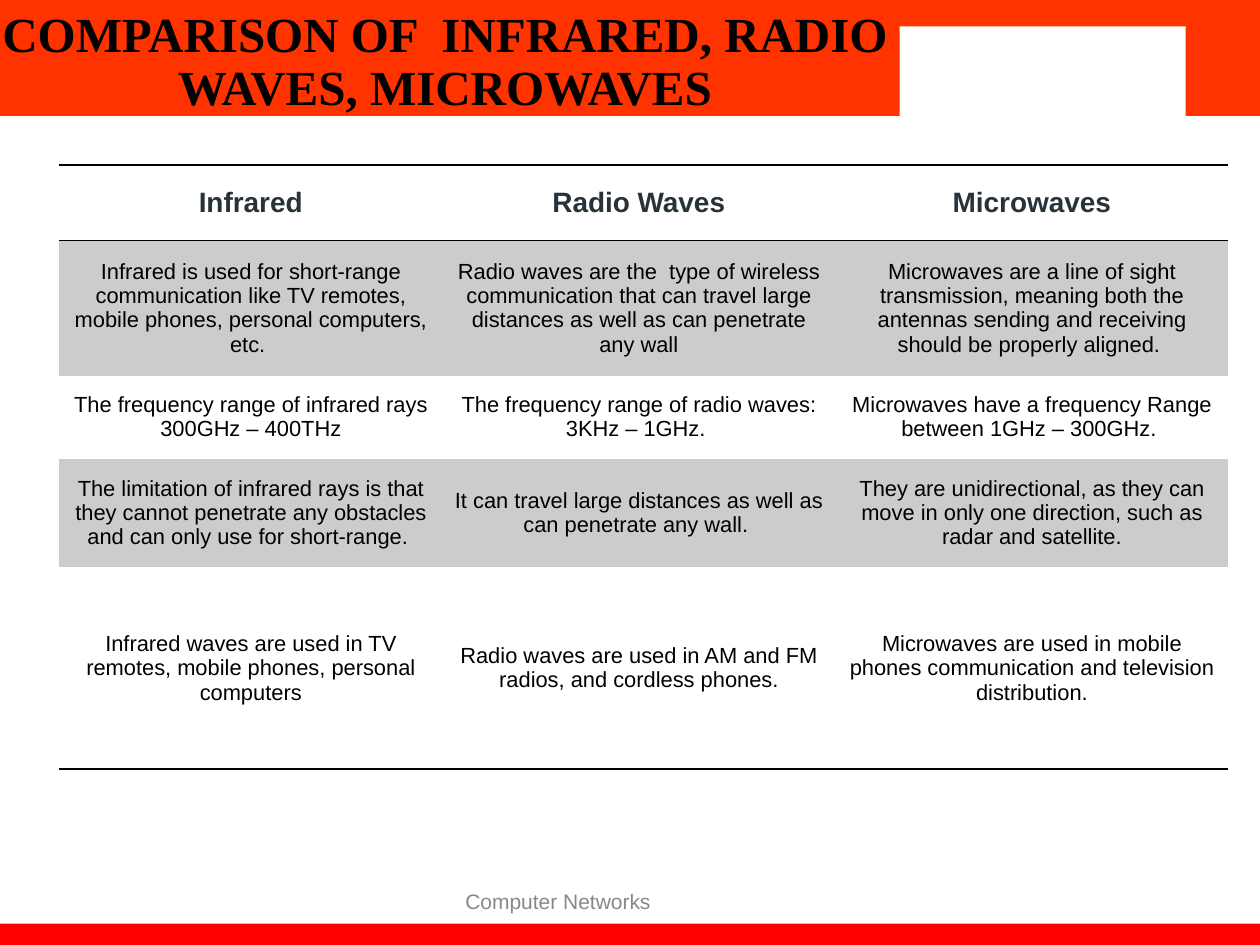
from lxml import etree
from pptx import Presentation
from pptx.dml.color import RGBColor
from pptx.enum.shapes import MSO_SHAPE
from pptx.enum.text import MSO_ANCHOR, MSO_AUTO_SIZE, PP_ALIGN
from pptx.oxml.ns import qn
from pptx.util import Inches, Pt

RECTANGLE = MSO_SHAPE.RECTANGLE
MIDDLE = MSO_ANCHOR.MIDDLE
CENTER = PP_ALIGN.CENTER
NO_AUTOSIZE = MSO_AUTO_SIZE.NONE

BLACK = RGBColor(0x00, 0x00, 0x00)
WHITE = RGBColor(0xFF, 0xFF, 0xFF)
ORANGE = RGBColor(0xFF, 0x33, 0x00)
RED = RGBColor(0xFF, 0x00, 0x00)
SLATE = RGBColor(0x27, 0x32, 0x39)
FOOTER_GRAY = RGBColor(0x88, 0x88, 0x88)
BAND_GRAY = RGBColor(0xCC, 0xCC, 0xCC)

PLAIN_TABLE_STYLE = "{2D5ABB26-0587-4C30-8999-92F81FD0307C}"
COLUMN_WIDTHS = [3.04, 3.12, 3.12]
ROW_HEIGHTS = [0.6, 1.07, 0.65, 0.86, 1.6]
ROWS = [
    ["Infrared", "Radio Waves", "Microwaves"],
    ["Infrared is used for short-range communication like TV remotes, "
     "mobile phones, personal computers, etc. ",
     "Radio waves are the  type of wireless communication that can travel "
     "large distances as well as can penetrate any wall",
     "Microwaves are a line of sight transmission, meaning both the antennas "
     "sending and receiving should be properly aligned. "],
    ["The frequency range of infrared rays 300GHz – 400THz",
     "The frequency range of radio waves: 3KHz – 1GHz. ",
     "Microwaves have a frequency Range between 1GHz – 300GHz. "],
    ["The limitation of infrared rays is that they cannot penetrate any "
     "obstacles and can only use for short-range. ",
     "It can travel large distances as well as can penetrate any wall. ",
     "They are unidirectional, as they can move in only one direction, "
     "such as radar and satellite."],
    ["Infrared waves are used in TV remotes, mobile phones, personal computers",
     "Radio waves are used in AM and FM radios, and cordless phones.",
     "Microwaves are used in mobile phones communication and television "
     "distribution."],
]
RULED_EDGES = {0: ["a:lnT", "a:lnB"], len(ROWS) - 1: ["a:lnB"]}


def format_text(frame, font_name, size, color, bold=False):
    para = frame.paragraphs[0]
    para.alignment = CENTER
    for span in para.runs:
        span.font.name = font_name
        span.font.size = Pt(size)
        span.font.color.rgb = color
        span.font.bold = bold


def add_rule(cell, edge):
    line = etree.SubElement(cell._tc.get_or_add_tcPr(), qn(edge), w=str(Pt(1)))
    fill = etree.SubElement(line, qn("a:solidFill"))
    etree.SubElement(fill, qn("a:srgbClr"), val=str(BLACK))


deck = Presentation()
deck.slide_width = Inches(10)
deck.slide_height = Inches(7.5)
page = deck.slides.add_slide(deck.slide_layouts[5])

BANDS = [
    (0, 0, 10, 0.92, ORANGE),
    (0, 7.33, 10, 0.17, RED),
    (7.14, 0.21, 2.27, 0.75, WHITE),
]
for left, top, width, height, color in BANDS:
    band = page.shapes.add_shape(
        RECTANGLE, Inches(left), Inches(top), Inches(width), Inches(height))
    band.shadow.inherit = False
    band.fill.solid()
    band.fill.fore_color.rgb = color
    band.line.fill.background()

title = page.shapes.title
title.left, title.top = 0, 0
title.width, title.height = Inches(7.06), Inches(1)
frame = title.text_frame
frame.text = "COMPARISON OF  INFRARED, RADIO WAVES, MICROWAVES"
frame.word_wrap = True
frame.auto_size = NO_AUTOSIZE
frame.vertical_anchor = MIDDLE
frame.margin_left = frame.margin_right = frame.margin_top = frame.margin_bottom = 0
frame.paragraphs[0].line_spacing = 0.9
format_text(frame, "Times New Roman", 28, BLACK, True)
page.shapes._spTree.append(title.element)

footer = page.shapes.add_textbox(
    Inches(0.39), Inches(6.95), Inches(9.11), Inches(0.4))
frame = footer.text_frame
frame.text = "Computer Networks"
frame.word_wrap = True
frame.vertical_anchor = MIDDLE
frame.margin_right = Inches(1.13)
format_text(frame, "Arial", 12, FOOTER_GRAY)

table_frame = page.shapes.add_table(
    len(ROWS), len(COLUMN_WIDTHS), Inches(0.47), Inches(1.31),
    Inches(sum(COLUMN_WIDTHS)), Inches(sum(ROW_HEIGHTS)))
table_frame.element.xpath(".//a:tableStyleId")[0].text = PLAIN_TABLE_STYLE
table = table_frame.table
table.horz_banding = False
for column, width in zip(table.columns, COLUMN_WIDTHS):
    column.width = Inches(width)

for row_index, texts in enumerate(ROWS):
    is_header = row_index == 0
    table.rows[row_index].height = Inches(ROW_HEIGHTS[row_index])
    for column_index, text in enumerate(texts):
        cell = table.cell(row_index, column_index)
        cell.text_frame.text = text
        cell.vertical_anchor = MIDDLE
        cell.margin_left = cell.margin_right = Inches(0.08)
        cell.margin_top = cell.margin_bottom = Inches(0.08 if is_header else 0.12)
        if is_header:
            format_text(cell.text_frame, "Arial", 16, SLATE, True)
        else:
            format_text(cell.text_frame, "Arial", 12.5, BLACK)
        for edge in RULED_EDGES.get(row_index, []):
            add_rule(cell, edge)
        if row_index % 2:
            cell.fill.solid()
            cell.fill.fore_color.rgb = BAND_GRAY
        else:
            cell.fill.background()

deck.save("out.pptx")
